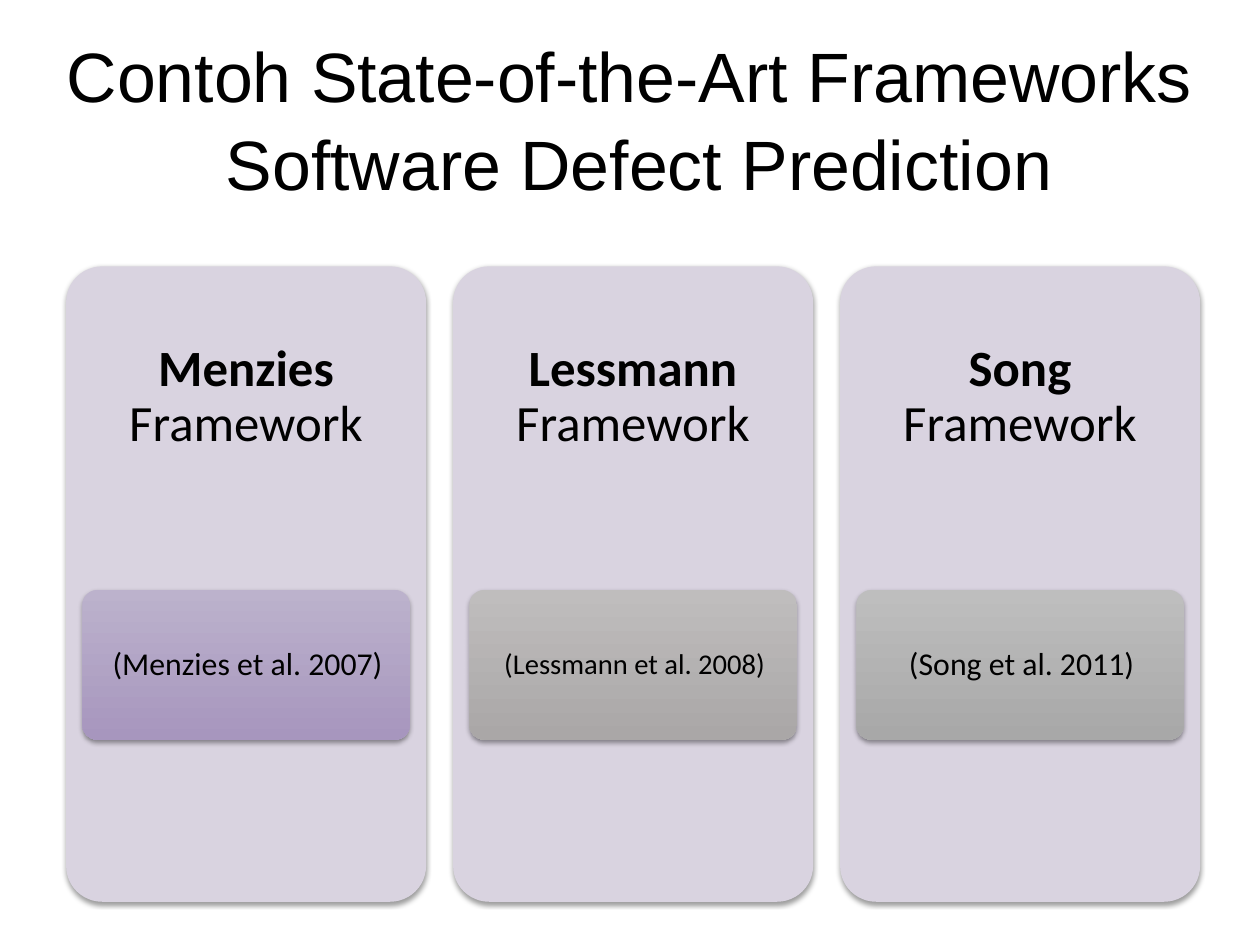
from lxml import etree
from pptx import Presentation
from pptx.dml.color import RGBColor
from pptx.enum.shapes import MSO_SHAPE as Preset
from pptx.enum.text import MSO_ANCHOR as Anchor, MSO_AUTO_SIZE as AutoSize, PP_ALIGN as Align
from pptx.oxml import parse_xml
from pptx.oxml.ns import nsdecls
from pptx.util import Cm, Pt

BLACK = RGBColor(0x00, 0x00, 0x00)
CARD = RGBColor(0xD9, 0xD3, 0xE0)
PURPLE = (RGBColor(0xBC, 0xB2, 0xCC), RGBColor(0xA7, 0x96, 0xBE))
WARM_GRAY = (RGBColor(0xBF, 0xBD, 0xBD), RGBColor(0xAA, 0xA7, 0xA7))
GRAY = (RGBColor(0xBE, 0xBE, 0xBE), RGBColor(0xA8, 0xA8, 0xA8))

FRAMEWORKS = [
    ("Menzies", "(Menzies et al. 2007)", 20, PURPLE),
    ("Lessmann", "(Lessmann et al. 2008)", 18, WARM_GRAY),
    ("Song", "(Song et al. 2011)", 20, GRAY),
]
CARD_WIDTH, CARD_GAP = 8, 0.6
CITATION_MARGIN, CITATION_TOP, CITATION_HEIGHT = 0.36, 7.19, 3.33


def set_frame(text_frame, left, top, right, bottom):
    text_frame.margin_left, text_frame.margin_top = Cm(left), Cm(top)
    text_frame.margin_right, text_frame.margin_bottom = Cm(right), Cm(bottom)
    text_frame.vertical_anchor = Anchor.MIDDLE
    text_frame.word_wrap = True
    text_frame.auto_size = AutoSize.NONE


def format_paragraph(paragraph, font_name, size, line_spacing):
    paragraph.alignment = Align.CENTER
    paragraph.line_spacing = line_spacing
    for run in paragraph.runs:
        run.font.name = font_name
        run.font.size = Pt(size)
        run.font.color.rgb = BLACK


def add_shadow(shape):
    shape._element.spPr.append(parse_xml(
        f'<a:effectLst {nsdecls("a")}>'
        '<a:outerShdw blurRad="40000" dist="20000" dir="5400000" rotWithShape="0">'
        '<a:srgbClr val="000000"><a:alpha val="38000"/></a:srgbClr>'
        '</a:outerShdw></a:effectLst>'))


def add_rounded_box(slide, left, top, width, height):
    shape = slide.shapes.add_shape(
        Preset.ROUNDED_RECTANGLE, Cm(left), Cm(top), Cm(width), Cm(height))
    shape.adjustments[0] = 0.1
    shape.line.fill.background()
    add_shadow(shape)
    return shape


def add_title(slide, left, top, width, height):
    title = slide.shapes.title
    title.left, title.top = Cm(left), Cm(top)
    title.width, title.height = Cm(width), Cm(height)
    title.text_frame.text = (
        "Contoh State-of-the-Art Frameworks\v Software Defect Prediction")
    set_frame(title.text_frame, 0, 0, 0, 0)
    format_paragraph(title.text_frame.paragraphs[0], "Arial", 44, 1.05)


def add_citation(slide, left, top, width, height, citation, size, colors):
    shape = add_rounded_box(slide, left, top, width, height)
    shape.fill.gradient()
    shape.fill.gradient_angle = 270
    for stop, color, position in zip(shape.fill.gradient_stops, colors, (0, 1)):
        stop.color.rgb = color
        stop.position = position
    shape.text_frame.text = citation
    set_frame(shape.text_frame, 0.22, 0.18, 0.15, 0.18)
    format_paragraph(shape.text_frame.paragraphs[0], "Calibri", size, 0.9)


def add_framework(slide, left, top, width, height, name, citation, size, colors):
    card = add_rounded_box(slide, left, top, width, height)
    card.fill.solid()
    card.fill.fore_color.rgb = CARD
    set_frame(card.text_frame, 0.33, 0.33, 0.33, 8.64)
    paragraph = card.text_frame.paragraphs[0]
    for text, bold in ((name, True), (" Framework", False)):
        run = paragraph.add_run()
        run.text = text
        run.font.bold = bold
    format_paragraph(paragraph, "Calibri", 32, 0.9)
    add_citation(slide, left + CITATION_MARGIN, top + CITATION_TOP,
                 width - 2 * CITATION_MARGIN, CITATION_HEIGHT,
                 citation, size, colors)


def add_frameworks(slide, left, top, height):
    for index, framework in enumerate(FRAMEWORKS):
        card_left = left + index * (CARD_WIDTH + CARD_GAP)
        add_framework(slide, card_left, top, CARD_WIDTH, height, *framework)


presentation = Presentation()
presentation.slide_width, presentation.slide_height = Cm(28), Cm(21)
slide = presentation.slides.add_slide(presentation.slide_layouts[5])
add_title(slide, 1.4, 0.84, 25.2, 3.5)
add_frameworks(slide, 1.47, 5.92, 14.12)
presentation.save("out.pptx")
